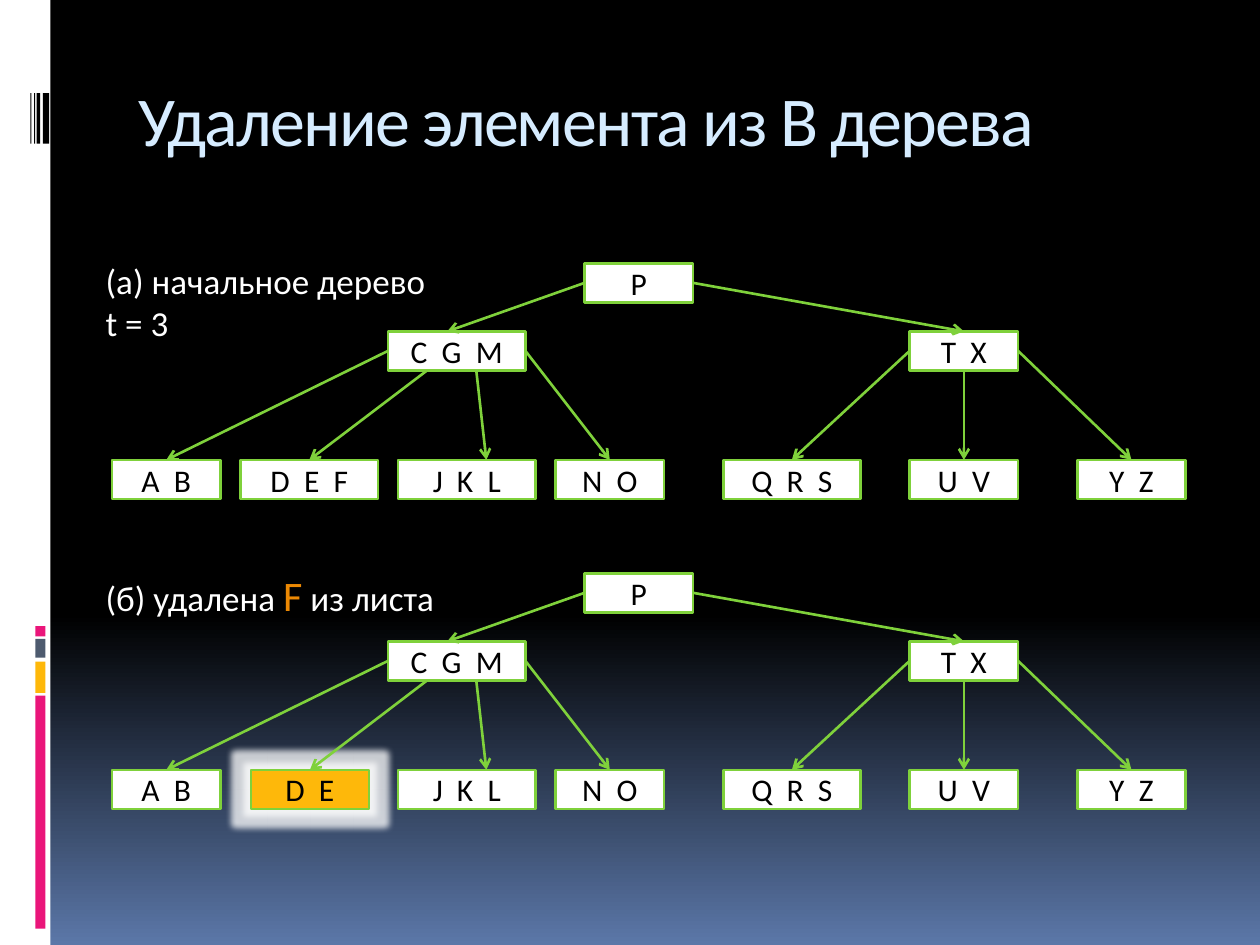
from lxml.etree import SubElement
from pptx import Presentation
from pptx.dml.color import RGBColor
from pptx.enum.shapes import MSO_CONNECTOR, MSO_SHAPE
from pptx.enum.text import MSO_ANCHOR, MSO_AUTO_SIZE, PP_ALIGN
from pptx.oxml.ns import qn
from pptx.util import Inches, Pt

GREEN, GOLD, PINK = "7FD13B", "FEB80A", "EA157A"
WHITE, BLACK = "FFFFFF", "000000"
ROOT_Y, MID_Y, LEAF_Y = 2.09, 2.63, 3.65
HIGH, SLIM, WIDE = 0.31, 0.86, 1.09
STEP = 2.46

BARS = [
    (0, 0, 0.4, 7.5, WHITE),
    (0.28, 5.52, 0.08, 1.85, PINK),
    (0.28, 5.25, 0.08, 0.25, GOLD),
    (0.28, 5.07, 0.08, 0.15, "4E5B6F"),
    (0.28, 4.97, 0.08, 0.08, PINK),
    (0.34, 0.74, 0.05, 0.4, BLACK),
    (0.29, 0.74, 0.03, 0.4, BLACK),
    (0.27, 0.74, 0.01, 0.4, BLACK),
    (0.24, 0.74, 0.01, 0.4, BLACK),
]
NODES = [
    ("P", 4.64, ROOT_Y, SLIM),
    ("C  G  M", 3.08, MID_Y, WIDE),
    ("T  X", 7.22, MID_Y, SLIM),
    ("A  B", 0.89, LEAF_Y, SLIM),
    ("D  E  F", 1.91, LEAF_Y, WIDE),
    ("J  K  L", 3.16, LEAF_Y, WIDE),
    ("N  O", 4.41, LEAF_Y, SLIM),
    ("Q  R  S", 5.74, LEAF_Y, WIDE),
    ("U  V", 7.22, LEAF_Y, SLIM),
    ("Y  Z", 8.55, LEAF_Y, SLIM),
]
LINKS = [
    ("P", 1, "C  G  M", None, 3.55),
    ("P", 3, "T  X", None, None),
    ("C  G  M", 1, "A  B", None, None),
    ("C  G  M", 2, "D  E  F", 3.39, None),
    ("C  G  M", 2, "J  K  L", 3.78, 3.86),
    ("C  G  M", 3, "N  O", None, None),
    ("T  X", 1, "Q  R  S", None, None),
    ("T  X", 2, "U  V", None, None),
    ("T  X", 3, "Y  Z", None, None),
]


def color(code):
    return RGBColor.from_string(code)


class Deck:
    font = {"name": "Calibri"}
    label = {"size": Pt(18)}
    note_font = {"size": Pt(20)}

    def __init__(self):
        self.show = Presentation()
        self.show.slide_width, self.show.slide_height = Inches(10), Inches(7.5)
        self.slide = self.show.slides.add_slide(self.show.slide_layouts[5])
        self.home = self.slide.shapes

    def style(self, run, code, form):
        for name, value in {**self.font, **form}.items():
            setattr(run.font, name, value)
        run.font.color.rgb = color(code)

    def back(self, stops):
        fill = self.slide.background.fill
        fill.gradient()
        fill.gradient_angle = 270
        ramp = next(self.slide.element.iter(qn("a:gsLst")))
        for old in list(ramp):
            ramp.remove(old)
        for place, code in stops:
            stop = SubElement(ramp, qn("a:gs"), pos=str(place * 1000))
            SubElement(stop, qn("a:srgbClr"), val=code)

    def title(self, text):
        shape = self.slide.shapes.title
        shape.left, shape.top = Inches(1), Inches(0.56)
        shape.width, shape.height = Inches(8.5), Inches(1)
        frame = shape.text_frame
        frame.vertical_anchor = MSO_ANCHOR.TOP
        frame.auto_size = MSO_AUTO_SIZE.NONE
        line = frame.paragraphs[0]
        line.alignment = PP_ALIGN.LEFT
        run = line.add_run()
        run.text = text
        self.style(run, "D6ECFF", {"size": Pt(40)})
        for form in shape.element.iter(qn("a:rPr")):
            form.set("spc", "-100")

    def group(self):
        self.home = self.slide.shapes.add_group_shape().shapes

    def bar(self, x, y, wide, high, code):
        shape = self.home.add_shape(
            MSO_SHAPE.RECTANGLE, Inches(x), Inches(y), Inches(wide), Inches(high))
        shape.shadow.inherit = False
        shape.fill.solid()
        shape.fill.fore_color.rgb = color(code)
        shape.line.fill.background()
        return shape

    def box(self, text, x, y, wide, code=WHITE, edge=1.5):
        shape = self.bar(x, y, wide, HIGH, code)
        shape.line.color.rgb = color(GREEN)
        shape.line.width = Pt(edge)
        frame = shape.text_frame
        frame.vertical_anchor = MSO_ANCHOR.MIDDLE
        line = frame.paragraphs[0]
        line.alignment = PP_ALIGN.CENTER
        run = line.add_run()
        run.text = text
        self.style(run, BLACK, self.label)
        return shape

    def glow(self, shape):
        effects = next(shape.element.iter(qn("a:effectLst")))
        halo = SubElement(effects, qn("a:glow"), rad=str(Inches(0.1)))
        tint = SubElement(halo, qn("a:srgbClr"), val=WHITE)
        SubElement(tint, qn("a:alpha"), val="75000")

    def link(self, start, site, end, from_x, to_x):
        x1 = Inches(from_x) if from_x else start.left
        x2 = Inches(to_x) if to_x else end.left + end.width // 2
        y1 = start.top + (start.height if site == 2 else start.height // 2)
        if not from_x:
            x1 += {1: 0, 2: start.width // 2, 3: start.width}[site]
        arrow = self.home.add_connector(MSO_CONNECTOR.STRAIGHT, x1, y1, x2, end.top)
        if not from_x:
            arrow.begin_connect(start, site)
        if not to_x:
            arrow.end_connect(end, 0)
        arrow.line.color.rgb = color(GREEN)
        arrow.line.width = Pt(1.5)
        SubElement(arrow.line.fill and next(arrow.element.iter(qn("a:ln"))),
                   qn("a:tailEnd"), type="arrow")
        SubElement(next(arrow.element.iter(qn("p:spPr"))), qn("a:effectLst"))

    def note(self, x, y, wide, high, lines):
        frame = self.home.add_textbox(
            Inches(x), Inches(y), Inches(wide), Inches(high)).text_frame
        frame.word_wrap = False
        frame.auto_size = MSO_AUTO_SIZE.SHAPE_TO_FIT_TEXT
        for index, parts in enumerate(lines):
            line = frame.add_paragraph() if index else frame.paragraphs[0]
            for text, code, form in parts:
                run = line.add_run()
                run.text = text
                self.style(run, code, form)

    def tree(self, down, swap):
        self.group()
        nodes = {}
        for text, x, y, wide in NODES:
            if text in swap:
                nodes[text] = self.box(*swap[text])
                self.glow(nodes[text])
            else:
                nodes[text] = self.box(text, x, y + down, wide)
        for start, site, end, from_x, to_x in LINKS:
            self.link(nodes[start], site, nodes[end], from_x, to_x)


def main():
    deck = Deck()
    deck.back([(0, BLACK), (65, BLACK), (100, "5B77A8")])
    for bar in BARS:
        deck.bar(*bar)
    plain = deck.note_font
    deck.tree(0, {})
    deck.note(0.74, 2.01, 2.74, 0.77, [
        [("(а) начальное дерево", WHITE, plain)],
        [("t = 3", WHITE, plain)],
    ])
    deck.tree(STEP, {"D  E  F": ("D  E", 1.99, LEAF_Y + STEP, 0.94, GOLD, 0.94)})
    deck.note(0.74, 4.47, 2.94, 0.5, [[
        ("(б) удалена ", WHITE, plain),
        ("F", "EB8803", {"size": Pt(24)}),
        (" из листа", WHITE, plain),
    ]])
    deck.title("Удаление элемента из B дерева")
    deck.show.save("out.pptx")


if __name__ == "__main__":
    main()
